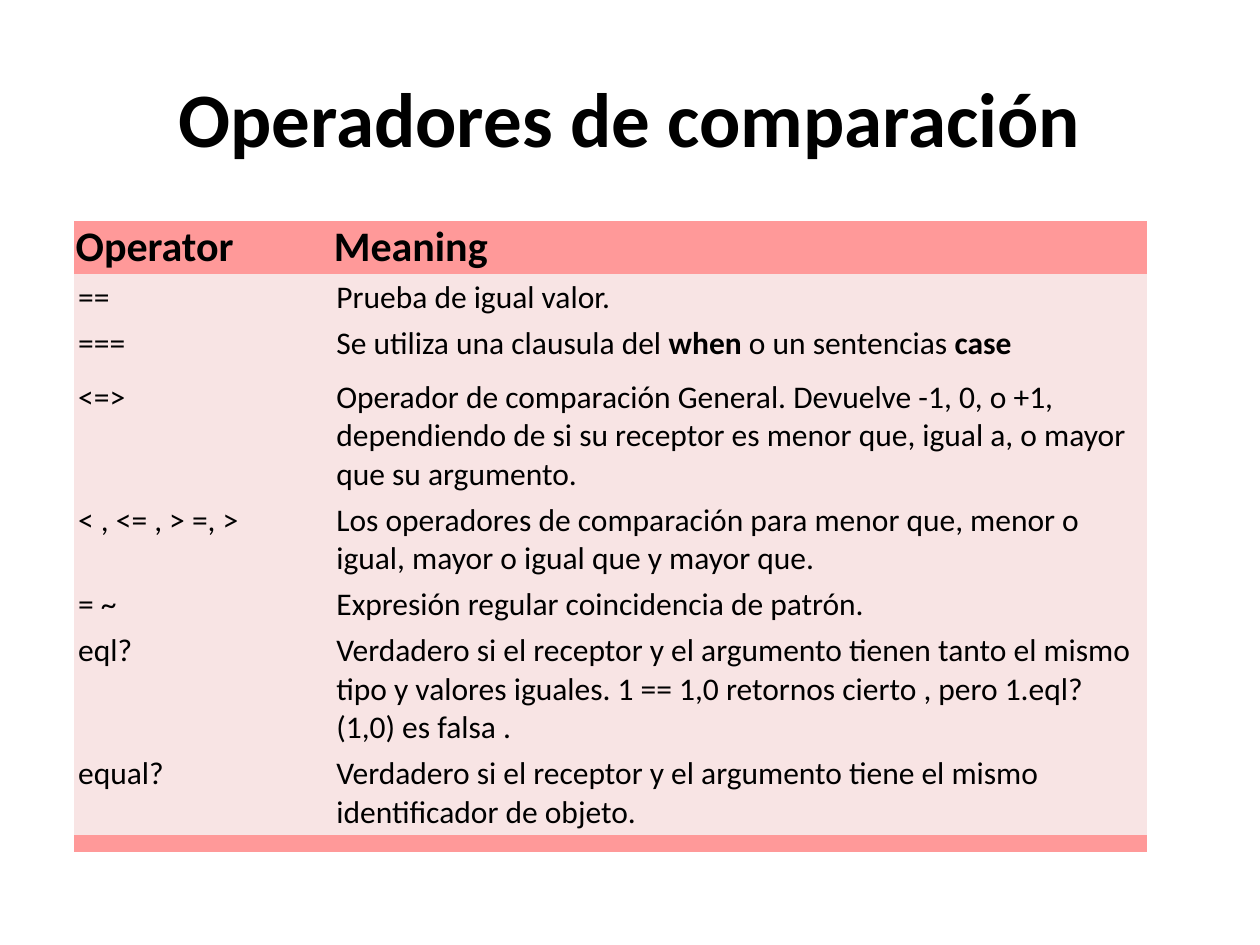
import pptx
import pptx.util
import pptx.dml.color
import pptx.enum.text
import pptx.oxml.ns
from lxml import etree

Inches = pptx.util.Inches
BLACK = pptx.dml.color.RGBColor(0x00, 0x00, 0x00)
WHITE = pptx.dml.color.RGBColor(0xFF, 0xFF, 0xFF)
ROSE = pptx.dml.color.RGBColor(0xFF, 0x99, 0x99)
PALE_ROSE = pptx.dml.color.RGBColor(0xF8, 0xE4, 0xE4)
NO_GRID_STYLE = "{2D5ABB26-0587-4C30-8999-92F81FD0307C}"

HEADINGS = ("Operator", "Meaning")
OPERATORS = [
    ("==", "Prueba de igual valor."),
    ("===", [("Se utiliza una clausula del ", False), ("when", True),
             (" o un sentencias ", False), ("case", True)]),
    ("<=>", "Operador de comparación General. Devuelve -1, 0, o +1, dependiendo de si "
            "su receptor es menor que, igual a, o mayor que su argumento."),
    ("< , <= , > =, >", "Los operadores de comparación para menor que, menor o igual, "
                        "mayor o igual que y mayor que."),
    ("= ~", "Expresión regular coincidencia de patrón."),
    ("eql?", "Verdadero si el receptor y el argumento tienen tanto el mismo tipo y valores "
             "iguales. 1 == 1,0 retornos cierto , pero 1.eql? (1,0) es falsa ."),
    ("equal?", "Verdadero si el receptor y el argumento tiene el mismo identificador "
               "de objeto."),
]
COLUMN_WIDTHS = (2.05, 6.46)
ROW_HEIGHTS = (0.39, 0.33, 0.43, 0.71, 0.61, 0.34, 0.97, 0.61, 0.13)


def write_text(paragraph, text, size=18, bold=False, color=BLACK, font="Calibri", align=None):
    paragraph.alignment = align
    pieces = [(text, bold)] if isinstance(text, str) else text
    for words, is_bold in pieces:
        run = paragraph.add_run()
        run.text = words
        run.font.name = font
        run.font.size = pptx.util.Pt(size)
        run.font.bold = is_bold
        run.font.color.rgb = color


class SlideBuilder:
    def __init__(self, presentation):
        self.slide = presentation.slides.add_slide(presentation.slide_layouts[5])
        self.slide.background.fill.solid()
        self.slide.background.fill.fore_color.rgb = WHITE

    def title(self, text, left, top, width, height):
        shape = self.slide.shapes.title
        shape.left, shape.top = Inches(left), Inches(top)
        shape.width, shape.height = Inches(width), Inches(height)
        shape.text_frame.vertical_anchor = pptx.enum.text.MSO_ANCHOR.MIDDLE
        write_text(shape.text_frame.paragraphs[0], text, size=44, bold=True,
                   align=pptx.enum.text.PP_ALIGN.CENTER)

    def table(self, left, top, column_widths, row_heights):
        frame = self.slide.shapes.add_table(
            len(row_heights), len(column_widths), Inches(left), Inches(top),
            Inches(sum(column_widths)), Inches(sum(row_heights)))
        table = frame.table
        table.first_row = table.horz_banding = False
        style = table._tbl.tblPr.find(pptx.oxml.ns.qn("a:tableStyleId"))
        style.text = NO_GRID_STYLE
        for column, width in zip(table.columns, column_widths):
            column.width = Inches(width)
        for row, height in zip(table.rows, row_heights):
            row.height = Inches(height)
        return table

    def cell(self, cell, fill, margin):
        cell.fill.solid()
        cell.fill.fore_color.rgb = fill
        cell.margin_left = cell.margin_right = Inches(margin)
        cell.margin_top = cell.margin_bottom = Inches(margin)
        return cell.text_frame.paragraphs[0]

    def row(self, row, texts, fill, margin, **text_format):
        for cell, text in zip(row.cells, texts):
            write_text(self.cell(cell, fill, margin), text, **text_format)

    def closing_band(self, row, fill):
        cells = list(row.cells)
        for cell in cells:
            paragraph = self.cell(cell, fill, 0)
            etree.SubElement(paragraph._p, pptx.oxml.ns.qn("a:endParaRPr"), sz="600")
        cells[0].merge(cells[-1])


def main():
    presentation = pptx.Presentation()
    presentation.slide_width, presentation.slide_height = Inches(10), Inches(7.5)
    builder = SlideBuilder(presentation)
    builder.title("Operadores de comparación", 0.5, 0.3, 9, 1.25)
    table = builder.table(0.59, 1.75, COLUMN_WIDTHS, ROW_HEIGHTS)
    rows = list(table.rows)
    builder.row(rows[0], HEADINGS, ROSE, 0.01, size=24, bold=True)
    for row, texts in zip(rows[1:-1], OPERATORS):
        builder.row(row, texts, PALE_ROSE, 0.03)
    builder.closing_band(rows[-1], ROSE)
    presentation.save("out.pptx")


if __name__ == "__main__":
    main()
